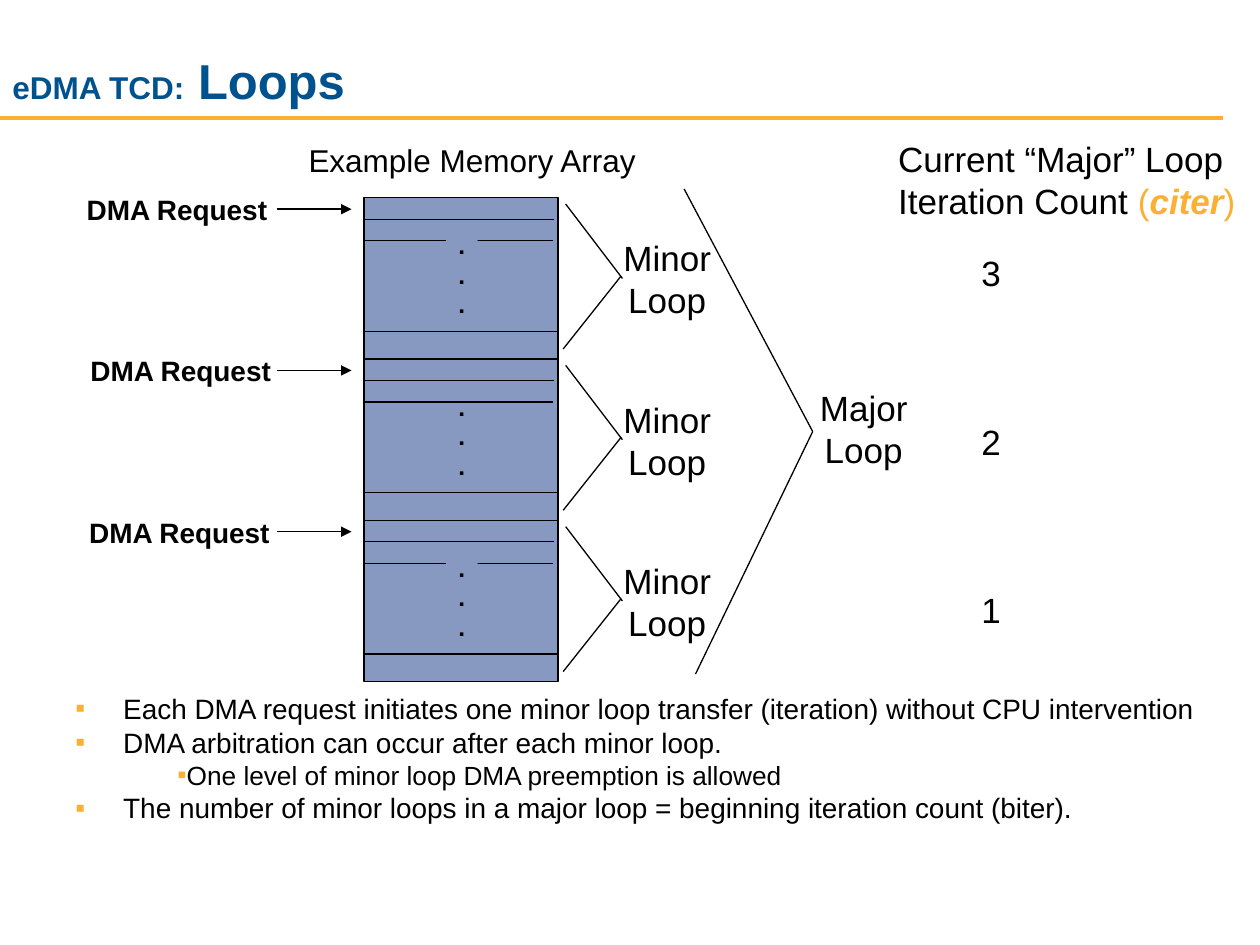
from dataclasses import dataclass

from lxml.etree import SubElement
from pptx import Presentation
from pptx.dml.color import RGBColor
from pptx.enum.shapes import MSO_CONNECTOR as Connector, MSO_SHAPE as Shape
from pptx.enum.text import MSO_ANCHOR as Anchor, MSO_AUTO_SIZE as AutoSize, PP_ALIGN as Align
from pptx.oxml.ns import qn
from pptx.util import Inches, Pt

COLUMNS, ROWS = 100, 75


@dataclass(frozen=True)
class Theme:
    font: str = "Arial"
    ink: str = "000000"
    title: str = "00528E"
    accent: str = "FBB034"
    memory: str = "8799C1"
    title_size: int = 28
    large: int = 20
    heading: int = 18
    body: int = 16
    sub_body: int = 15
    dots: int = 14
    thin: float = 0.75
    rule: float = 2.25


@dataclass(frozen=True)
class Run:
    text: str
    size: float
    color: str = Theme.ink
    bold: bool = False
    italic: bool = False


class SlideBuilder:
    """Draws on one slide; lengths are grid columns and rows."""

    def __init__(self, presentation, theme):
        self.theme = theme
        self.slide = presentation.slides.add_slide(presentation.slide_layouts[6])
        self.column = presentation.slide_width / COLUMNS
        self.row = presentation.slide_height / ROWS

    def place(self, x, y):
        return round(x * self.column), round(y * self.row)

    def add_runs(self, paragraph, runs):
        for item in runs:
            for index, piece in enumerate(item.text.split("\n")):
                if index:
                    paragraph.add_line_break()
                run = paragraph.add_run()
                run.text = piece
                font = run.font
                font.name, font.size = self.theme.font, Pt(item.size)
                font.bold, font.italic = item.bold, item.italic
                font.color.rgb = RGBColor.from_string(item.color)

    def text(self, x, y, width, height, paragraphs, align=Align.LEFT,
             anchor=Anchor.TOP, wrap=False, fill=None):
        box = self.slide.shapes.add_textbox(*self.place(x, y), *self.place(width, height))
        if fill:
            box.fill.solid()
            box.fill.fore_color.rgb = RGBColor.from_string(fill)
        frame = box.text_frame
        frame.word_wrap, frame.vertical_anchor = wrap, anchor
        frame.auto_size = AutoSize.NONE if wrap else AutoSize.SHAPE_TO_FIT_TEXT
        for index, runs in enumerate(paragraphs):
            paragraph = frame.add_paragraph() if index else frame.paragraphs[0]
            paragraph.alignment = align
            self.add_runs(paragraph, runs)
        return frame

    def bullets(self, x, y, width, height, items):
        """Each item is (text, level)."""
        theme = self.theme
        sizes = (theme.body, theme.sub_body)
        indents = ((0.38, -0.38), (0.81, 0))
        frame = self.text(x, y, width, height,
                          [[Run(text, sizes[level])] for text, level in items], wrap=True)
        for paragraph, (_, level) in zip(frame.paragraphs, items):
            paragraph.level = level
            paragraph.line_spacing = 0.8
            paragraph.space_before = Pt(sizes[level] / 4)
            properties = paragraph._p.get_or_add_pPr()
            margin, indent = indents[level]
            properties.set("marL", str(Inches(margin)))
            properties.set("indent", str(Inches(indent)))
            color = SubElement(properties, qn("a:buClr"))
            SubElement(color, qn("a:srgbClr"), val=theme.accent)
            SubElement(properties, qn("a:buFont"), typeface=theme.font)
            SubElement(properties, qn("a:buChar"), char="▪")

    def rectangle(self, x, y, width, height, fill):
        shape = self.slide.shapes.add_shape(
            Shape.RECTANGLE, *self.place(x, y), *self.place(width, height))
        shape.shadow.inherit = False
        shape.fill.solid()
        shape.fill.fore_color.rgb = RGBColor.from_string(fill)
        shape.line.color.rgb = RGBColor.from_string(self.theme.ink)
        shape.line.width = Pt(self.theme.thin)

    def line(self, start, end, color=Theme.ink, weight=Theme.thin, arrow=False):
        connector = self.slide.shapes.add_connector(
            Connector.STRAIGHT, *self.place(*start), *self.place(*end))
        connector.line.color.rgb = RGBColor.from_string(color)
        connector.line.width = Pt(weight)
        if arrow:
            SubElement(connector.line._get_or_add_ln(), qn("a:tailEnd"), type="triangle")
        SubElement(connector._element.spPr, qn("a:effectLst"))

    def loop_label(self, x, y, name):
        self.text(x, y, 9.5, 7.7, [[Run(f"{name}\nLoop", self.theme.large)]], Align.CENTER)

    def memory_block(self, top, request_x, dots_fill):
        """One minor loop: request arrow, memory cells and bracket."""
        theme = self.theme
        self.text(request_x, top - 0.9, 16.4, 3.7,
                  [[Run("DMA Request", theme.body, bold=True)]])
        self.line((22, top + 0.9), (27.9, top + 0.9), arrow=True)
        self.rectangle(28.9, top, 15.4, 12.8, theme.memory)
        for offset, left, right in ((1.7, 28.9, 44), (3.4, 28.9, 43.9), (10.6, 28.8, 44.2)):
            self.line((left, top + offset), (right, top + offset))
        self.text(35.4, top + 2.1, 2.5, 8,
                  [[Run(".", theme.dots, bold=True)]] * 3, fill=dots_fill)
        self.loop_label(48.2, top + 2.6, "Minor")
        self.line((44.9, top + 0.5), (49.4, top + 6.4))
        self.line((49.3, top + 6.2), (44.7, top + 12))


def main():
    presentation = Presentation()
    presentation.slide_width, presentation.slide_height = Inches(10), Inches(7.5)
    theme = Theme()
    builder = SlideBuilder(presentation, theme)

    builder.line((0, 9.4), (97.1, 9.4), theme.accent, theme.rule)
    builder.text(0, 1.7, 85.5, 7.5, [[
        Run("eDMA TCD:", theme.heading, theme.title, bold=True),
        Run(" Loops", theme.title_size, theme.title, bold=True),
    ]], anchor=Anchor.BOTTOM, wrap=True)
    builder.bullets(5, 54.9, 92.6, 12.5, [
        ("Each DMA request initiates one minor loop transfer (iteration) "
         "without CPU intervention", 0),
        ("DMA arbitration can occur after each minor loop.", 0),
        ("One level of minor loop DMA preemption is allowed", 1),
        ("The number of minor loops in a major loop = beginning iteration count (biter).", 0),
    ])

    builder.text(70.3, 10.4, 29.6, 7.7, [[
        Run("Current “Major” Loop\nIteration Count ", theme.large),
        Run("(", theme.large, theme.accent),
        Run("citer", theme.large, theme.accent, bold=True, italic=True),
        Run(")", theme.large, theme.accent),
    ]])
    for index, count in enumerate("321"):
        builder.text(76.9, 19.5 + 13.35 * index, 3.6, 4.3, [[Run(count, theme.large)]])

    builder.text(23.5, 10.7, 28.1, 4, [[Run("Example Memory Array", theme.heading)]])
    blocks = ((5.9, theme.memory), (6.2, None), (6.1, theme.memory))
    for index, (request_x, dots_fill) in enumerate(blocks):
        builder.memory_block(15.7 + 12.8 * index, request_x, dots_fill)

    builder.loop_label(63.8, 30.2, "Major")
    for end in ((55.2, 53.5), (54.3, 15)):
        builder.line((64.5, 34.25), end)

    presentation.save("out.pptx")


if __name__ == "__main__":
    main()
